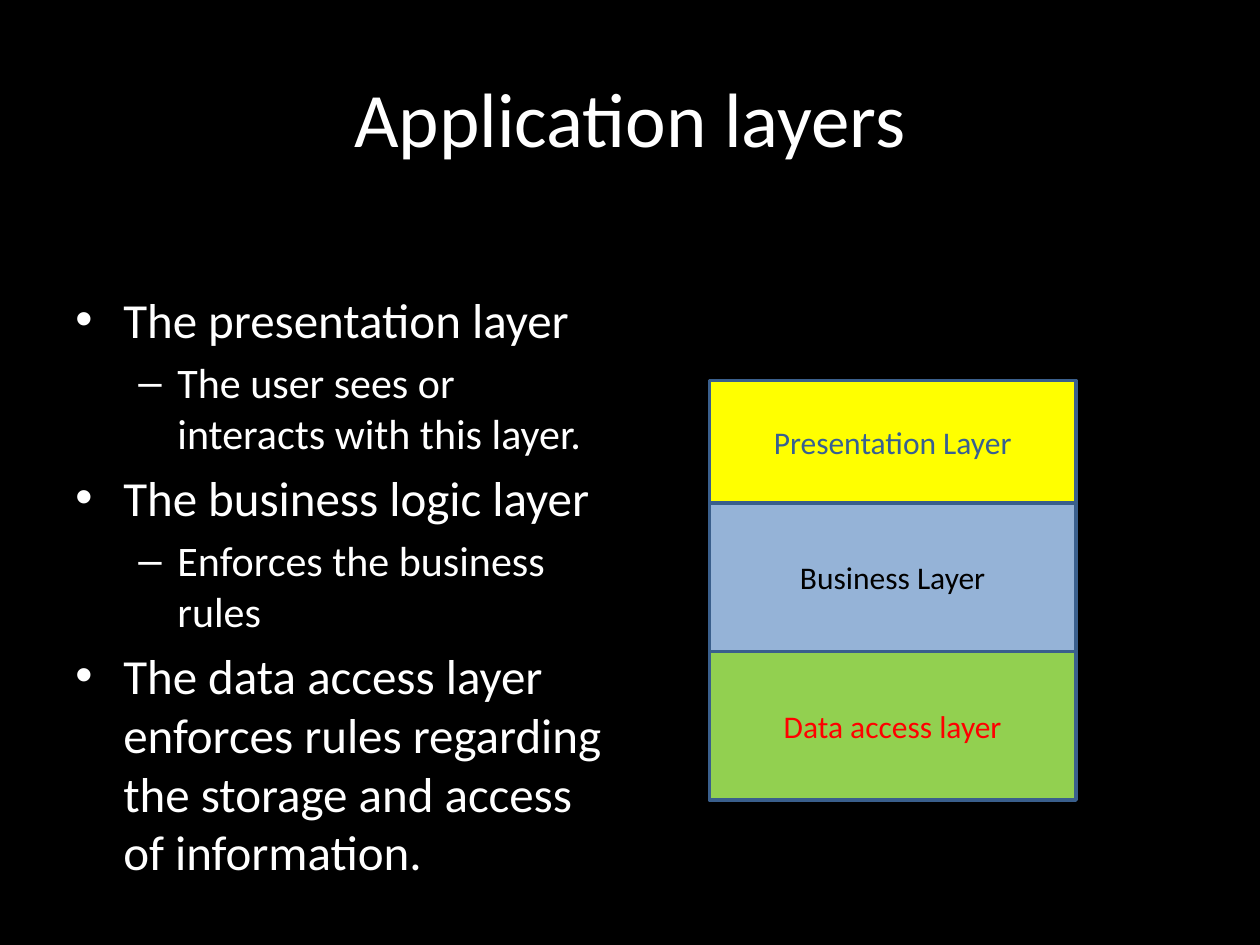
from dataclasses import dataclass

from lxml import etree
from pptx import Presentation
from pptx import util as u
from pptx.dml.color import RGBColor
from pptx.enum import shapes, text
from pptx.oxml import ns


@dataclass(frozen=True)
class Theme:
    font: str = "Calibri"
    back: str = "000000"
    ink: str = "FFFFFF"
    edge: str = "3A5F8C"
    title: int = 44
    label: int = 18
    # Per outline level: size, bullet, left margin, hanging indent
    levels: tuple = ((28, "•", 0.38, 0.38), (24, "–", 0.81, 0.31))


def write(para, words, font, size, color, align=text.PP_ALIGN.LEFT, before=0):
    run = para.add_run()
    run.text = words
    run.font.name = font
    run.font.size = u.Pt(size)
    run.font.color.rgb = RGBColor.from_string(color)
    para.alignment = align
    para.space_before = u.Pt(before)


class Deck:
    def __init__(self, slide, theme):
        self.slide, self.theme = slide, theme
        fill = slide.background.fill
        fill.solid()
        fill.fore_color.rgb = RGBColor.from_string(theme.back)

    def frame(self, box, anchor):
        frame = self.slide.shapes.add_textbox(*map(u.Inches, box)).text_frame
        frame.word_wrap = True
        frame.vertical_anchor = anchor
        return frame

    def title(self, words, box):
        frame = self.frame(box, text.MSO_ANCHOR.MIDDLE)
        write(frame.paragraphs[0], words, self.theme.font, self.theme.title,
              self.theme.ink, align=text.PP_ALIGN.CENTER)

    def outline(self, items, box):
        frame = self.frame(box, text.MSO_ANCHOR.TOP)
        for i, (level, words) in enumerate(items):
            para = frame.add_paragraph() if i else frame.paragraphs[0]
            size, mark, left, hang = self.theme.levels[level]
            para.level = level
            write(para, words, self.theme.font, size, self.theme.ink,
                  before=size * 0.2)
            # Bullet with hanging indent
            props = para._p.get_or_add_pPr()
            props.set("marL", str(u.Inches(left)))
            props.set("indent", str(-u.Inches(hang)))
            etree.SubElement(props, ns.qn("a:buFont")).set("typeface", "Arial")
            etree.SubElement(props, ns.qn("a:buChar")).set("char", mark)

    def block(self, words, box, fill, color):
        rect = self.slide.shapes.add_shape(
            shapes.MSO_SHAPE.RECTANGLE, *map(u.Inches, box))
        rect.shadow.inherit = False
        rect.fill.solid()
        rect.fill.fore_color.rgb = RGBColor.from_string(fill)
        rect.line.color.rgb = RGBColor.from_string(self.theme.edge)
        rect.line.width = u.Pt(2)
        rect.text_frame.vertical_anchor = text.MSO_ANCHOR.MIDDLE
        write(rect.text_frame.paragraphs[0], words, self.theme.font,
              self.theme.label, color, align=text.PP_ALIGN.CENTER)


def main():
    prs = Presentation()
    prs.slide_width, prs.slide_height = u.Inches(10), u.Inches(7.5)
    deck = Deck(prs.slides.add_slide(prs.slide_layouts[6]), Theme())

    # Heading and outline
    deck.title("Application layers", (0.5, 0.3, 9, 1.25))
    deck.outline([
        (0, "The presentation layer"),
        (1, "The user sees or interacts with this layer."),
        (0, "The business logic layer"),
        (1, "Enforces the business rules"),
        (0, "The data access layer enforces rules regarding the storage "
            "and access of information."),
    ], (0.5, 2.25, 4.42, 4.7))

    # Layer stack, built from the bottom up
    base = 6.35
    for words, high, fill, color in (
        ("Data access layer", 1.18, "92D050", "FF0000"),
        ("Business Layer", 1.18, "95B3D7", "000000"),
        ("Presentation Layer", 0.97, "FFFF00", "376092"),
    ):
        base -= high
        deck.block(words, (5.63, base, 2.91, high), fill, color)

    prs.save("out.pptx")


if __name__ == "__main__":
    main()
